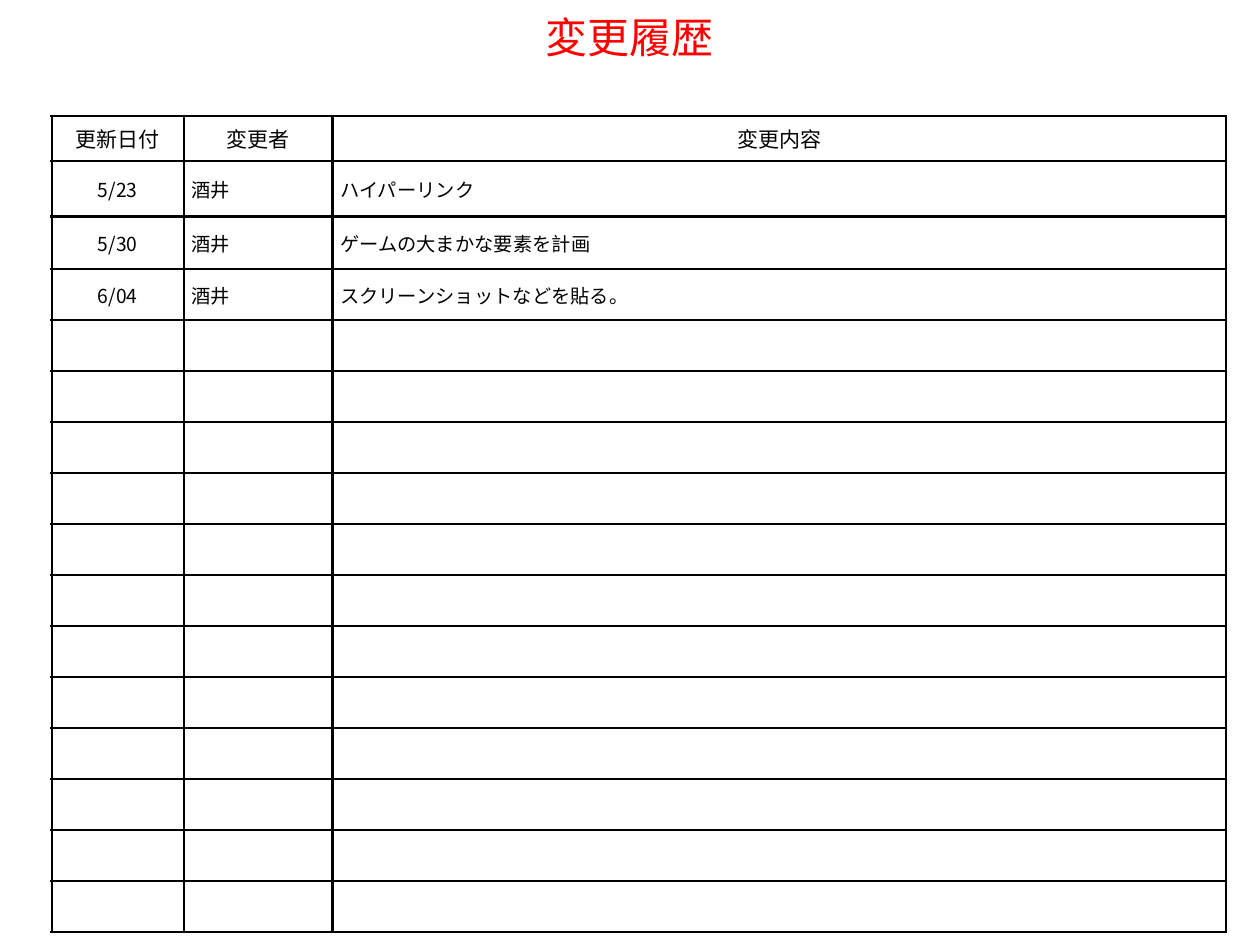
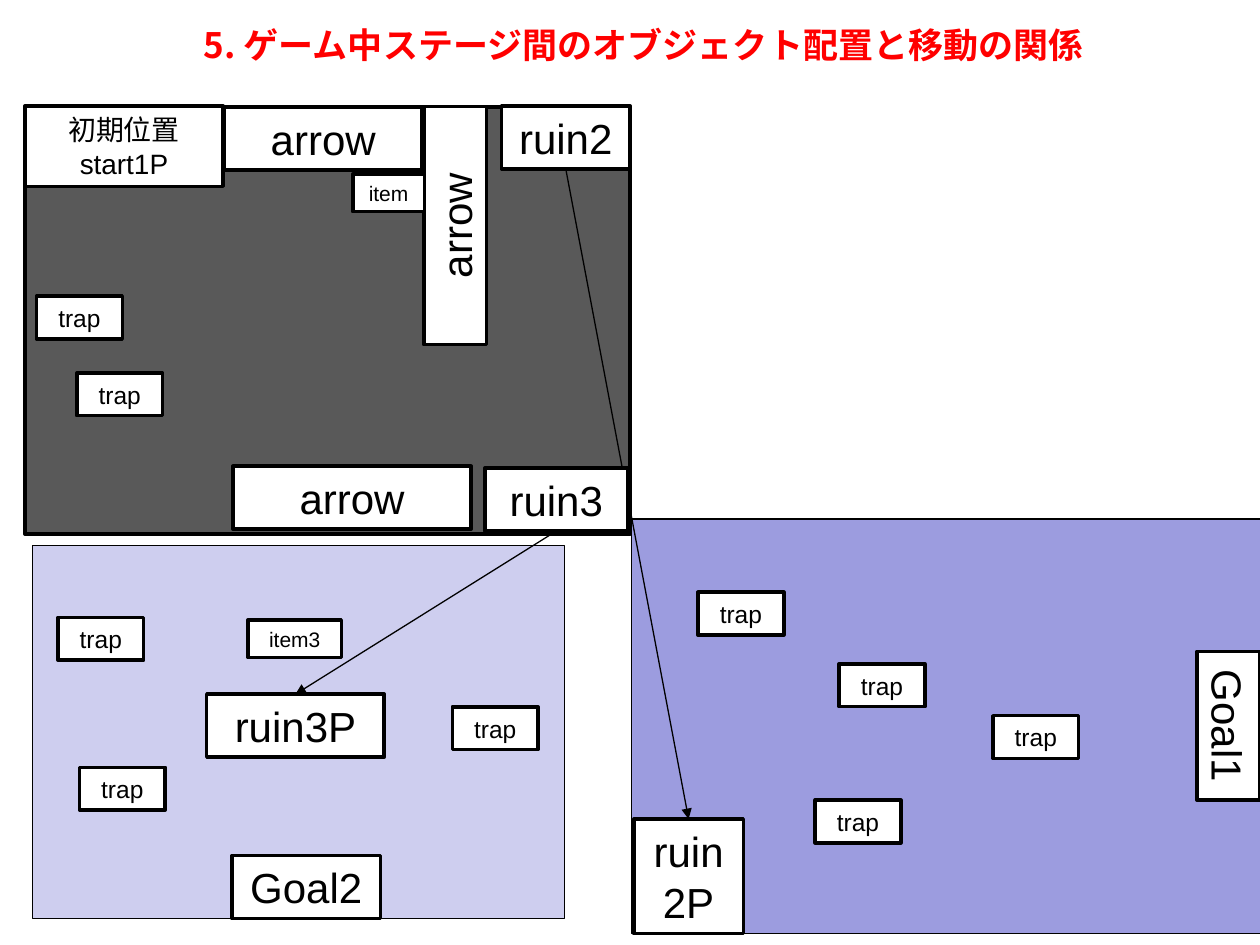
from pptx import Presentation
from pptx.dml.color import RGBColor
from pptx.enum.shapes import MSO_CONNECTOR as CONNECTOR, MSO_SHAPE as SHAPE
from pptx.enum.text import MSO_ANCHOR as ANCHOR, MSO_AUTO_SIZE as AUTO_SIZE, PP_ALIGN as ALIGN
from pptx.oxml.ns import qn
from pptx.util import Pt
from lxml.etree import SubElement

BLACK = RGBColor(0x00, 0x00, 0x00)
WHITE = RGBColor(0xFF, 0xFF, 0xFF)
RED = RGBColor(0xFF, 0x00, 0x00)
DARK = RGBColor(0x59, 0x59, 0x59)
VIOLET = RGBColor(0x9C, 0x9C, 0xDF)
LAVENDER = RGBColor(0xCE, 0xCE, 0xEF)
LATIN, CJK = "Arial", "Noto Sans CJK JP"

HISTORY_TITLE = "変更履歴"
HEADER = ("更新日付", "変更者", "変更内容")
CHANGES = [
    ("5/23", "酒井", "ハイパーリンク"),
    ("5/30", "酒井", "ゲームの大まかな要素を計画"),
    ("6/04", "酒井", "スクリーンショットなどを貼る。"),
]
BLANK_ROWS = 12
COLUMN_WIDTHS = (75.6, 85, 510.5)
TOP_HEIGHTS, ROW_HEIGHT = (22.3, 31.5, 30.2), 29.15

STAGE_TITLE = "5. ゲーム中ステージ間のオブジェクト配置と移動の関係"
# fill, left, top, width, height, line width
STAGES = [
    (DARK, 14.4, 61.2, 345.6, 244.1, 2),
    (VIOLET, 360.7, 296.6, 360, 236.9, 0.75),
    (LAVENDER, 18.7, 311.8, 303.8, 213.1, 0.75),
]
# text, left, top, width, height, font size, rotation
OBJECTS = [
    ("初期位置\nstart1P", 14.4, 60.5, 113, 46, 16, 0),
    ("ruin2", 286.6, 60.5, 73.4, 36, 24, 0),
    ("ruin2P", 362.2, 468, 62.6, 65.5, 24, 0),
    ("arrow", 133.2, 266.4, 136, 36, 24, 0),
    ("arrow", 128.2, 61.2, 113, 36, 24, 0),
    ("arrow", 192.2, 110.9, 136, 36, 24, 270),
    ("item", 201.6, 99.4, 41, 21.6, 12, 0),
    ("ruin3", 277.2, 267.5, 81.4, 36, 24, 0),
    ("Goal1", 659.5, 396.7, 85, 36, 24, 90),
    ("ruin3P", 118.1, 396.7, 101.5, 36, 24, 0),
    ("Goal2", 132.5, 488.9, 85, 36, 24, 0),
    ("item3", 141.8, 354.2, 53.3, 21.6, 12, 0),
]
LINKS = {"ruin2P": "ruin2", "ruin3P": "ruin3"}  # target: source
BOTTOM_SITE, TOP_SITE = 2, 0
TRAPS = [
    (20.9, 169.2), (43.9, 213.1), (33.1, 352.8), (45.4, 438.5), (258.5, 403.9),
    (479.5, 379.4), (567.4, 409), (398.9, 338.4), (465.8, 457.2),
]
TRAP_SIZE = (49, 24.5)


def write(tf, text, size=12, font=CJK, color=BLACK, bold=False, align=ALIGN.CENTER):
    """Fill a text frame, one paragraph per line of text."""
    for i, line in enumerate(text.split("\n")):
        p = tf.paragraphs[0] if i == 0 else tf.add_paragraph()
        p.alignment = align
        if not line:
            SubElement(p._p, qn("a:endParaRPr"), sz=str(size * 100))
            continue
        r = p.add_run()
        r.text = line
        r.font.name, r.font.size, r.font.bold = font, Pt(size), bold
        r.font.color.rgb = color
        SubElement(r._r.get_or_add_rPr(), qn("a:ea"), typeface=CJK)


def add_titled_slide(prs, text, box, size, bold=False, wrap=True):
    s = prs.slides.add_slide(prs.slide_layouts[5])
    title = s.shapes.title
    title.left, title.top, title.width, title.height = map(Pt, box)
    tf = title.text_frame
    tf.auto_size, tf.word_wrap, tf.vertical_anchor = AUTO_SIZE.NONE, wrap, ANCHOR.TOP
    write(tf, text, size=size, color=RED, bold=bold)
    return s


def add_borders(cell, width=1.5):
    tcPr = cell._tc.get_or_add_tcPr()
    for side in ("lnL", "lnR", "lnT", "lnB"):
        ln = SubElement(tcPr, qn(f"a:{side}"), w=str(Pt(width)))
        SubElement(SubElement(ln, qn("a:solidFill")), qn("a:srgbClr"), val=str(BLACK))


def add_history_table(s):
    rows = [HEADER, *CHANGES] + [("", "", "")] * BLANK_ROWS
    heights = TOP_HEIGHTS + (ROW_HEIGHT,) * (len(rows) - len(TOP_HEIGHTS))
    frame = s.shapes.add_table(len(rows), len(HEADER), Pt(29.5), Pt(66.2),
                               Pt(sum(COLUMN_WIDTHS)), Pt(sum(heights)))
    table = frame.table
    table.first_row = table.horz_banding = False
    for column, width in zip(table.columns, COLUMN_WIDTHS):
        column.width = Pt(width)
    for i, (row, height) in enumerate(zip(rows, heights)):
        table.rows[i].height = Pt(height)
        for j, text in enumerate(row):
            cell = table.cell(i, j)
            add_borders(cell)
            cell.fill.solid()
            cell.fill.fore_color.rgb = WHITE
            cell.margin_left = cell.margin_right = Pt(4.3)
            cell.margin_top = cell.margin_bottom = Pt(4.3)
            cell.vertical_anchor = ANCHOR.MIDDLE
            centred = i == 0 or j == 0
            write(cell.text_frame, text, size=12 if i == 0 else 11,
                  align=ALIGN.CENTER if centred else ALIGN.LEFT)


def add_box(s, left, top, width, height, fill=WHITE, line=2):
    sp = s.shapes.add_shape(SHAPE.RECTANGLE, Pt(left), Pt(top), Pt(width), Pt(height))
    sp.shadow.inherit = False
    sp.fill.solid()
    sp.fill.fore_color.rgb = fill
    sp.line.color.rgb, sp.line.width = BLACK, Pt(line)
    return sp


def add_object(s, text, left, top, width, height, size, rotation=0):
    sp = add_box(s, left, top, width, height)
    sp.rotation = rotation
    sp.text_frame.word_wrap = True
    sp.text_frame.vertical_anchor = ANCHOR.MIDDLE
    write(sp.text_frame, text, size=size, font=LATIN)
    return sp


def add_arrow(s, source, target):
    arrow = s.shapes.add_connector(CONNECTOR.STRAIGHT, 0, 0, 0, 0)
    arrow.begin_connect(source, BOTTOM_SITE)
    arrow.end_connect(target, TOP_SITE)
    arrow.line.color.rgb, arrow.line.width = BLACK, Pt(0.75)
    SubElement(arrow.line._get_or_add_ln(), qn("a:tailEnd"), type="triangle")
    SubElement(arrow._element.spPr, qn("a:effectLst"))


def add_stage_map(s):
    for fill, left, top, width, height, line in STAGES:
        add_box(s, left, top, width, height, fill=fill, line=line)
    placed = {}
    for text, *geometry in OBJECTS:
        placed[text] = add_object(s, text, *geometry)
        if text in LINKS:
            add_arrow(s, placed[LINKS[text]], placed[text])
    for left, top in TRAPS:
        add_object(s, "trap", left, top, *TRAP_SIZE, 14)


def main():
    prs = Presentation()
    prs.slide_width, prs.slide_height = Pt(720), Pt(540)
    add_history_table(add_titled_slide(prs, HISTORY_TITLE, (0, 2.9, 720, 65.5), 24))
    add_stage_map(add_titled_slide(prs, STAGE_TITLE, (100.8, 10.1, 534.2, 31.7), 20,
                                   bold=True, wrap=False))
    prs.save("out.pptx")


if __name__ == "__main__":
    main()
